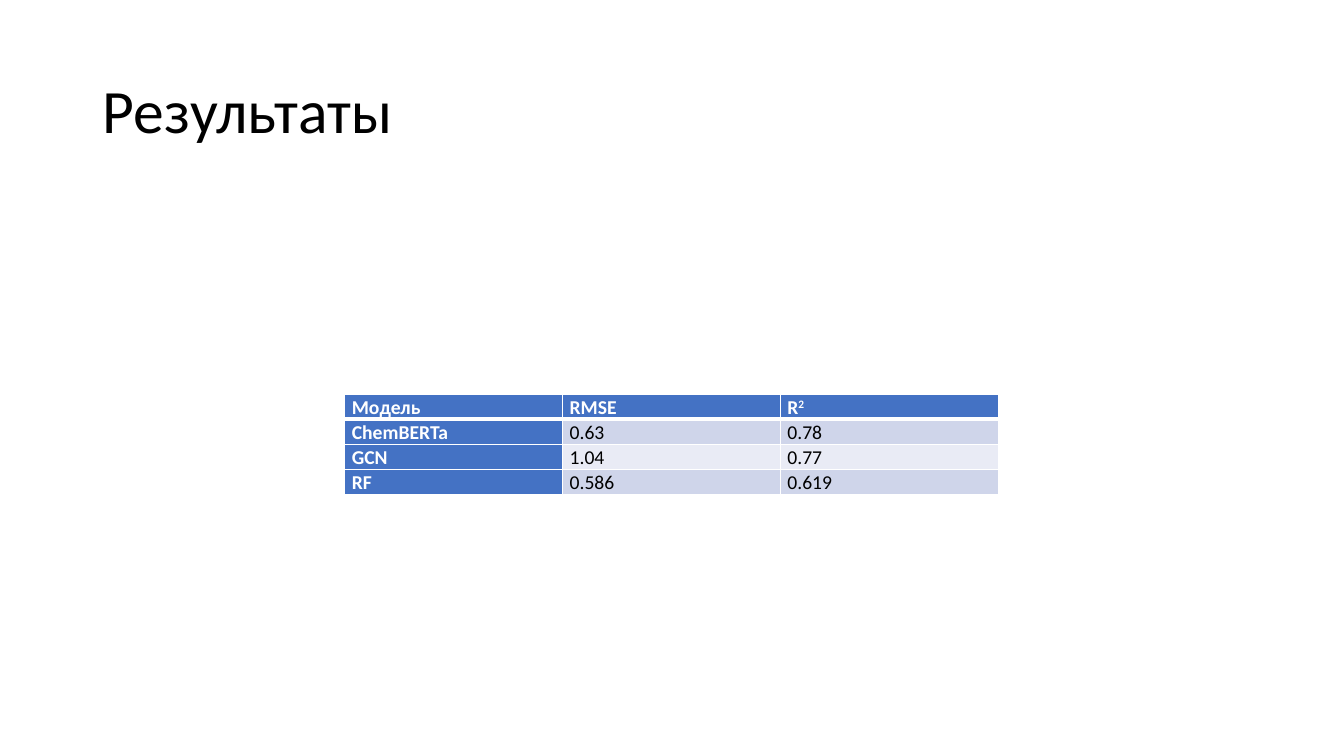
from lxml.etree import SubElement
from pptx import Presentation
from pptx.dml.color import RGBColor
from pptx.enum.text import MSO_ANCHOR, MSO_AUTO_SIZE, PP_ALIGN
from pptx.oxml.ns import qn
from pptx.util import Inches, Pt

BLACK = RGBColor(0x00, 0x00, 0x00)
WHITE = RGBColor(0xFF, 0xFF, 0xFF)
BLUE = RGBColor(0x44, 0x72, 0xC4)
BAND_DARK = RGBColor(0xCF, 0xD5, 0xEA)
BAND_LIGHT = RGBColor(0xE9, 0xEB, 0xF5)

RESULTS = [
    ("Модель", "RMSE", "R2"),
    ("ChemBERTa", "0.63", "0.78"),
    ("GCN", "1.04", "0.77"),
    ("RF", "0.586", "0.619"),
]


def add_run(p, text, size=14, color=BLACK, bold=False, baseline=None):
    r = p.add_run()
    r.text = text
    r.font.name = "Calibri"
    r.font.size = Pt(size)
    r.font.bold = bold
    r.font.color.rgb = color
    if baseline:
        r.font._element.set("baseline", str(baseline))


def set_border(cell, side, width):
    ln = SubElement(cell._tc.get_or_add_tcPr(), qn(f"a:ln{side}"), w=str(Pt(width)))
    fill = SubElement(ln, qn("a:solidFill"))
    SubElement(fill, qn("a:srgbClr"), val=str(WHITE))


prs = Presentation()
prs.slide_width, prs.slide_height = Inches(13.33), Inches(7.5)
slide = prs.slides.add_slide(prs.slide_layouts[5])

# Title
title = slide.shapes.title
title.left, title.top = Inches(0.92), Inches(0.4)
title.width, title.height = Inches(11.5), Inches(1.45)
tf = title.text_frame
tf.auto_size = MSO_AUTO_SIZE.NONE
tf.vertical_anchor = MSO_ANCHOR.MIDDLE
p = tf.paragraphs[0]
p.alignment = PP_ALIGN.LEFT
p.line_spacing = 0.9
add_run(p, "Результаты", size=44)

# Results table
table = slide.shapes.add_table(len(RESULTS), 3, Inches(3.42), Inches(3.91),
                               Inches(6.48), Inches(1)).table
for i, values in enumerate(RESULTS):
    for j, value in enumerate(values):
        cell = table.cell(i, j)
        cell.margin_left = cell.margin_right = Inches(0.07)
        cell.margin_top = cell.margin_bottom = 0

        # White grid, thicker under the header row
        set_border(cell, "L", 1)
        set_border(cell, "R", 1)
        set_border(cell, "T", 3 if i == 1 else 1)
        set_border(cell, "B", 3 if i == 0 else 1)

        # Blue header row and first column, banded values
        heading = i == 0 or j == 0
        cell.fill.solid()
        cell.fill.fore_color.rgb = BLUE if heading else BAND_DARK if i % 2 else BAND_LIGHT

        p = cell.text_frame.paragraphs[0]
        p.line_spacing = Pt(18)
        p.space_after = Pt(8)
        style = {"color": WHITE if heading else BLACK, "bold": heading}
        if value == "R2":
            add_run(p, "R", **style)
            add_run(p, "2", baseline=30000, **style)
        else:
            add_run(p, value, **style)

prs.save("out.pptx")
